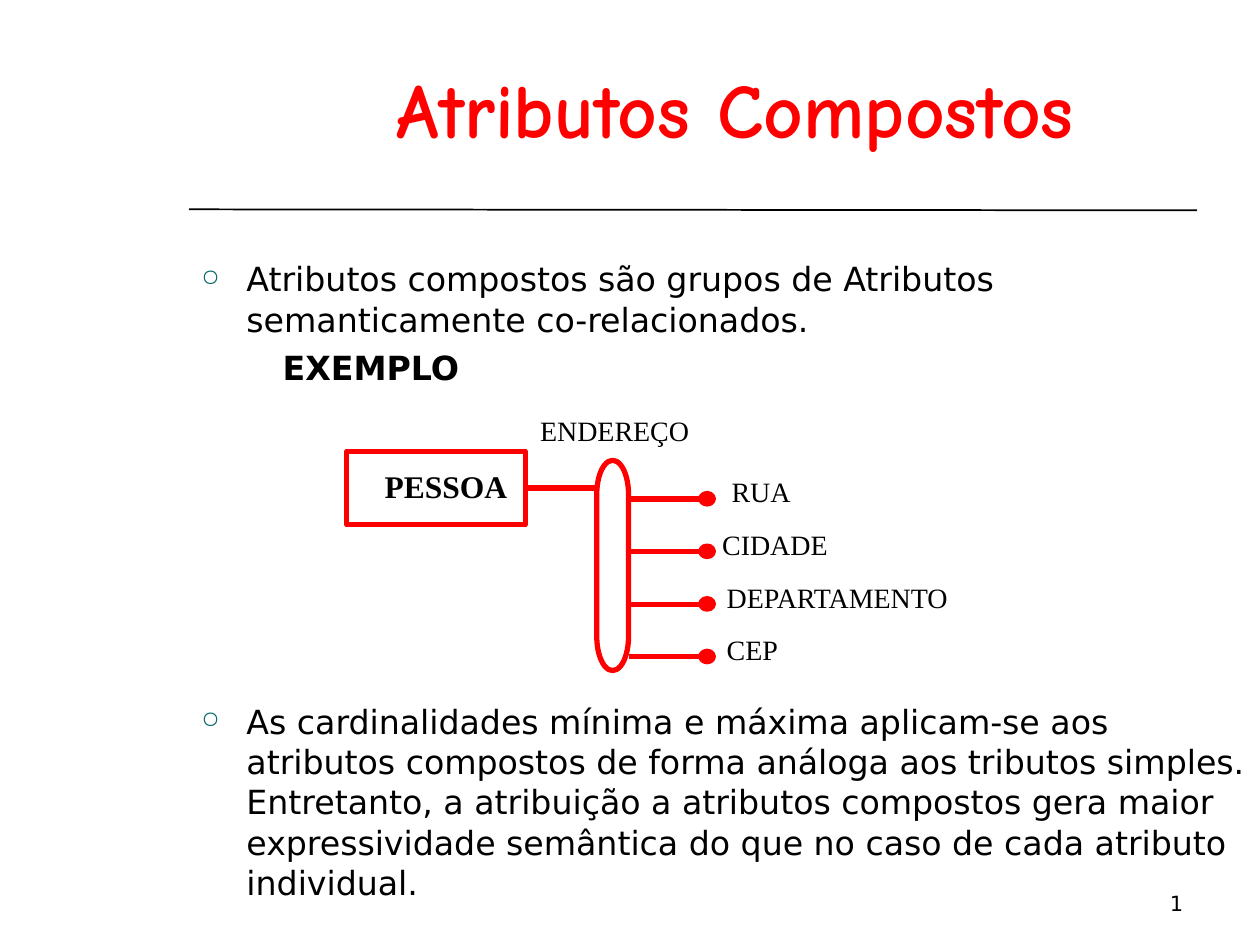
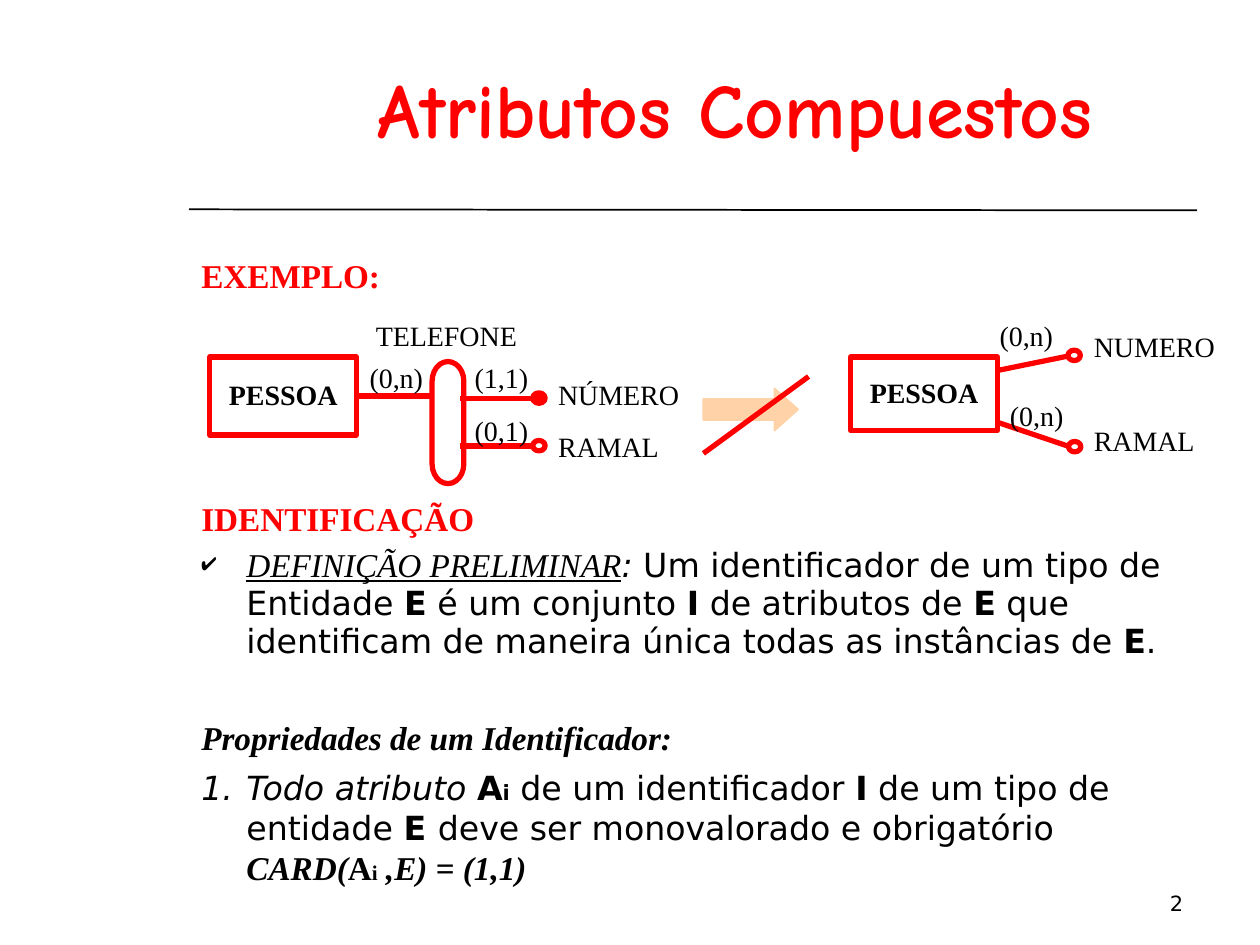
"""Build two slides on composite attributes in entity-relationship models."""
from lxml import etree
from pptx import Presentation
from pptx.dml.color import RGBColor
from pptx.enum import shapes, text
from pptx.oxml import ns
from pptx.util import Cm, Pt

RED = RGBColor(0xFF, 0x00, 0x00)
BLACK = RGBColor(0x00, 0x00, 0x00)
TEAL = RGBColor(0x00, 0x66, 0x66)
PEACH = RGBColor(0xFF, 0xD3, 0xA7)
TITLE_FONT, BODY_FONT, LABEL_FONT = "Comic Neue", "DejaVu Sans", "Times New Roman"
HANGING = 0.91
LABEL_HEIGHT = 0.91
BOLD = {"bold": True}
ITALIC = {"italic": True}
SERIF = {"name": LABEL_FONT}
HEADING = {**SERIF, **BOLD, "color": RED}


def format_run(run, size, name=BODY_FONT, color=BLACK, bold=False, italic=False, underline=False):
    """Apply the character format to one run."""
    font = run.font
    font.size, font.name, font.color.rgb = Pt(size), name, color
    font.bold, font.italic, font.underline = bold, italic, underline


def add_element(parent, tag, **attributes):
    """Append a DrawingML element to its parent."""
    return etree.SubElement(parent, ns.qn(tag), attributes)


def add_textbox(slide, left, top, width, height):
    """Add a wrapping text box and return its frame."""
    frame = slide.shapes.add_textbox(Cm(left), Cm(top), Cm(width), Cm(height)).text_frame
    frame.word_wrap = True
    return frame


def add_label(slide, wording, left, top, width=3.6, align=text.PP_ALIGN.LEFT):
    """Write a diagram label."""
    paragraph = add_textbox(slide, left, top, width, LABEL_HEIGHT).paragraphs[0]
    paragraph.text = wording
    paragraph.alignment, paragraph.line_spacing = align, 0.95
    format_run(paragraph.runs[0], 16, LABEL_FONT)


def style_shape(shape, fill=None, line=RED, width=3):
    """Give a shape its fill and outline without shadow."""
    shape.shadow.inherit = False
    if fill is None:
        shape.fill.background()
    else:
        shape.fill.solid()
        shape.fill.fore_color.rgb = fill
    shape.line.color.rgb, shape.line.width = line, Pt(width)


def add_line(slide, start, end, color=RED, width=3):
    """Draw a straight line between two points."""
    line = slide.shapes.add_connector(
        shapes.MSO_CONNECTOR.STRAIGHT, *(Cm(value) for value in (*start, *end)))
    line.line.color.rgb, line.line.width = color, Pt(width)
    add_element(line._element.spPr, "a:effectLst")
    return line


def add_entity(slide, left, top, width, height, size=16, shift=0):
    """Draw the PESSOA entity, with its name moved right by a shift."""
    entity = slide.shapes.add_shape(
        shapes.MSO_SHAPE.RECTANGLE, Cm(left), Cm(top), Cm(width), Cm(height))
    style_shape(entity)
    frame = entity.text_frame
    frame.text = "PESSOA"
    frame.margin_left, frame.margin_right = Cm(0.1 + 2 * shift), Cm(0.1)
    frame.vertical_anchor = text.MSO_ANCHOR.MIDDLE
    paragraph = frame.paragraphs[0]
    paragraph.alignment, paragraph.line_spacing = text.PP_ALIGN.CENTER, 0.95
    format_run(paragraph.runs[0], size, LABEL_FONT, bold=True)
    return entity


def add_composite(slide, entity, center_x, center_y, length):
    """Draw an upright composite attribute and join it to its entity."""
    thickness = 0.64
    capsule = slide.shapes.add_shape(
        shapes.MSO_SHAPE.FLOWCHART_TERMINATOR, Cm(center_x - length / 2),
        Cm(center_y - thickness / 2), Cm(length), Cm(thickness))
    capsule.rotation = 90
    style_shape(capsule)
    middle = (entity.top + entity.height / 2) / Cm(1)
    joint = add_line(slide, (0, middle), (center_x - thickness / 2, middle))
    joint.begin_connect(entity, 3)


def add_attribute(slide, start, tip, filled=False):
    """Draw an attribute line that ends in a filled or open dot."""
    dot = slide.shapes.add_shape(
        shapes.MSO_SHAPE.OVAL, Cm(tip[0] - 0.04), Cm(tip[1] - 0.11), Cm(0.25), Cm(0.21))
    style_shape(dot, RED if filled else None)
    add_line(slide, start, tip)


def add_body(slide, height, paragraphs):
    """Write the body from (options, runs) pairs."""
    frame = add_textbox(slide, 3.81, 5.08, 21.59, height)
    for index, (options, runs) in enumerate(paragraphs):
        paragraph = frame.paragraphs[0] if index == 0 else frame.add_paragraph()
        paragraph.line_spacing = options.get("spacing", 1.01)
        paragraph.space_before = Pt(options.get("before", 4.8) if index else 0)
        properties = paragraph._p.get_or_add_pPr()
        left = options.get("left", HANGING)
        properties.set("marL", str(Cm(left)))
        properties.set("indent", str(Cm(options.get("first", 0) - left)))
        if "bullet" in options:
            add_element(add_element(properties, "a:buClr"), "a:srgbClr",
                        val=str(options["bullet_color"]))
            add_element(properties, "a:buSzPct", val="70000")
            add_element(properties, "a:buChar", char=options["bullet"])
        elif options.get("numbered"):
            add_element(properties, "a:buFont", typeface=BODY_FONT)
            add_element(properties, "a:buAutoNum", type="arabicPeriod")
        else:
            add_element(properties, "a:buNone")
        for wording, style in runs:
            if wording == "\n":
                paragraph.add_line_break()
                continue
            run = paragraph.add_run()
            run.text = wording
            format_run(run, **{"size": 19, **style})


def add_page_number(slide, number):
    """Add the slide number field at the bottom right."""
    frame = add_textbox(slide, 18.21, 17.35, 5.89, 1.24)
    frame.vertical_anchor = text.MSO_ANCHOR.BOTTOM
    paragraph = frame.paragraphs[0]
    paragraph.text = str(number)
    paragraph.alignment, paragraph.line_spacing = text.PP_ALIGN.RIGHT, 1.01
    format_run(paragraph.runs[0], 12)
    field = paragraph.runs[0]._r
    field.tag = ns.qn("a:fld")
    field.set("id", "{B6F15528-21DE-4FAA-801E-634DDDAF4B2B}")
    field.set("type", "slidenum")


def add_slide(deck, heading):
    """Add a slide with the shared title, rule and page number."""
    slide = deck.slides.add_slide(deck.slide_layouts[5])
    title = slide.shapes.title
    title.left, title.top, title.width, title.height = Cm(4.45), Cm(1.27), Cm(20.75), Cm(1.98)
    frame = title.text_frame
    frame.text = heading
    frame.auto_size = text.MSO_AUTO_SIZE.NONE
    frame.vertical_anchor = text.MSO_ANCHOR.TOP
    paragraph = frame.paragraphs[0]
    paragraph.alignment, paragraph.line_spacing = text.PP_ALIGN.CENTER, 0.93
    format_run(paragraph.runs[0], 44, TITLE_FONT, RED, bold=True)
    add_line(slide, (3.81, 4.22), (24.13, 4.24), BLACK, 1)
    add_page_number(slide, len(deck.slides))
    return slide


def build_address_slide(deck):
    """Show the composite attribute ENDEREÇO."""
    slide = add_slide(deck, "Atributos Compostos")
    circle = {"bullet": "○", "bullet_color": TEAL}
    add_body(slide, 13.97, [
        (circle, [("Atributos compostos são grupos de Atributos "
                   "semanticamente co-relacionados.", {})]),
        ({"left": 1.64, "first": 1.64}, [("EXEMPLO", BOLD)]),
        ({**circle, "before": 179}, [(
            "As cardinalidades mínima e máxima aplicam-se aos atributos compostos de forma "
            "análoga aos tributos simples. Entretanto, a atribuição a atributos compostos gera "
            "maior expressividade semântica do que no caso de cada atributo individual.", {})]),
    ])
    person = add_entity(slide, 6.99, 9.1, 3.6, 1.48, size=18, shift=0.2)
    add_composite(slide, person, 12.35, 11.4, 4.24)
    add_label(slide, "ENDEREÇO", 10.59, 8.26, align=text.PP_ALIGN.CENTER)
    parts = [("RUA", 14.5), ("CIDADE", 14.31), ("DEPARTAMENTO", 14.4), ("CEP", 14.4)]
    for row, (part, left) in enumerate(parts):
        y = 10.06 + 1.06 * row
        add_attribute(slide, (12.67, y), (14.17, y), filled=True)
        add_label(slide, part, left, y - 0.56, width=5.5)


def build_identifier_slide(deck):
    """Compare composite and separate attributes and define identifiers."""
    slide = add_slide(deck, "Atributos Compuestos")
    tight = {"spacing": 0.95}
    add_body(slide, 13.03, [
        (tight, [("EXEMPLO:", HEADING)]),
        ({**tight, "before": 117}, [("IDENTIFICAÇÃO", HEADING)]),
        ({**tight, "bullet": "✔", "bullet_color": BLACK}, [
            ("DEFINIÇÃO PRELIMINAR", {**SERIF, **ITALIC, "underline": True}),
            (": ", ITALIC), ("Um identificador de um tipo de Entidade ", {}), ("E", BOLD),
            (" é um conjunto ", {}), ("I", BOLD), (" de atributos de ", {}), ("E", BOLD),
            (" que identificam de maneira única todas as instâncias de ", {}),
            ("E", BOLD), (".", {})]),
        ({**tight, "before": 34}, [
            ("Propriedades de um Identificador:", {**SERIF, **BOLD, **ITALIC})]),
        ({"numbered": True}, [
            ("Todo atributo ", ITALIC), ("A", BOLD), ("i", {**BOLD, "size": 12}),
            (" de um identificador ", {}), ("I", BOLD), (" de um tipo de entidade ", {}),
            ("E ", BOLD), ("deve ser monovalorado e obrigatório", {}), ("\n", {}),
            ("CARD(", {**SERIF, **BOLD, **ITALIC}), ("A", {**SERIF, **BOLD}),
            ("i", {**SERIF, **BOLD, "size": 12}),
            (" ,E) = (1,1)", {**SERIF, **BOLD, **ITALIC})]),
    ])
    person = add_entity(slide, 4.23, 7.2, 2.96, 1.57)
    add_composite(slide, person, 9.03, 8.52, 2.46)
    add_label(slide, "TELEFONE", 7.2, 6.35, align=text.PP_ALIGN.CENTER)
    for y, filled in ((8.03, True), (8.99, False)):
        add_attribute(slide, (9.27, y), (10.78, y), filled)
    add_label(slide, "NÚMERO", 11, 7.54)
    add_label(slide, "RAMAL", 11, 8.59)

    arrow = slide.shapes.add_shape(
        shapes.MSO_SHAPE.RIGHT_ARROW, Cm(14.18), Cm(7.83), Cm(1.91), Cm(0.85))
    arrow.adjustments[0], arrow.adjustments[1] = 0.5, 0.56
    style_shape(arrow, PEACH, PEACH, 1)
    add_line(slide, (14.18, 9.14), (16.3, 7.59))

    add_entity(slide, 17.15, 7.2, 2.96, 1.48)
    add_attribute(slide, (20.1, 7.47), (21.57, 7.17))
    add_attribute(slide, (20.1, 8.51), (21.58, 9.01))
    add_label(slide, "NUMERO", 21.8, 6.56)
    add_label(slide, "RAMAL", 21.8, 8.47)
    cardinalities = [("(0,n)", 7.2, 7.2), ("(1,1)", 9.32, 7.2), ("(0,1)", 9.32, 8.26),
                     ("(0,n)", 19.9, 6.35), ("(0,n)", 20.11, 7.95)]
    for cardinality, left, top in cardinalities:
        add_label(slide, cardinality, left, top, width=1.7)


def main():
    """Build and save the presentation."""
    deck = Presentation()
    deck.slide_width, deck.slide_height = Cm(25.4), Cm(19.05)
    build_address_slide(deck)
    build_identifier_slide(deck)
    deck.save("out.pptx")


if __name__ == "__main__":
    main()
